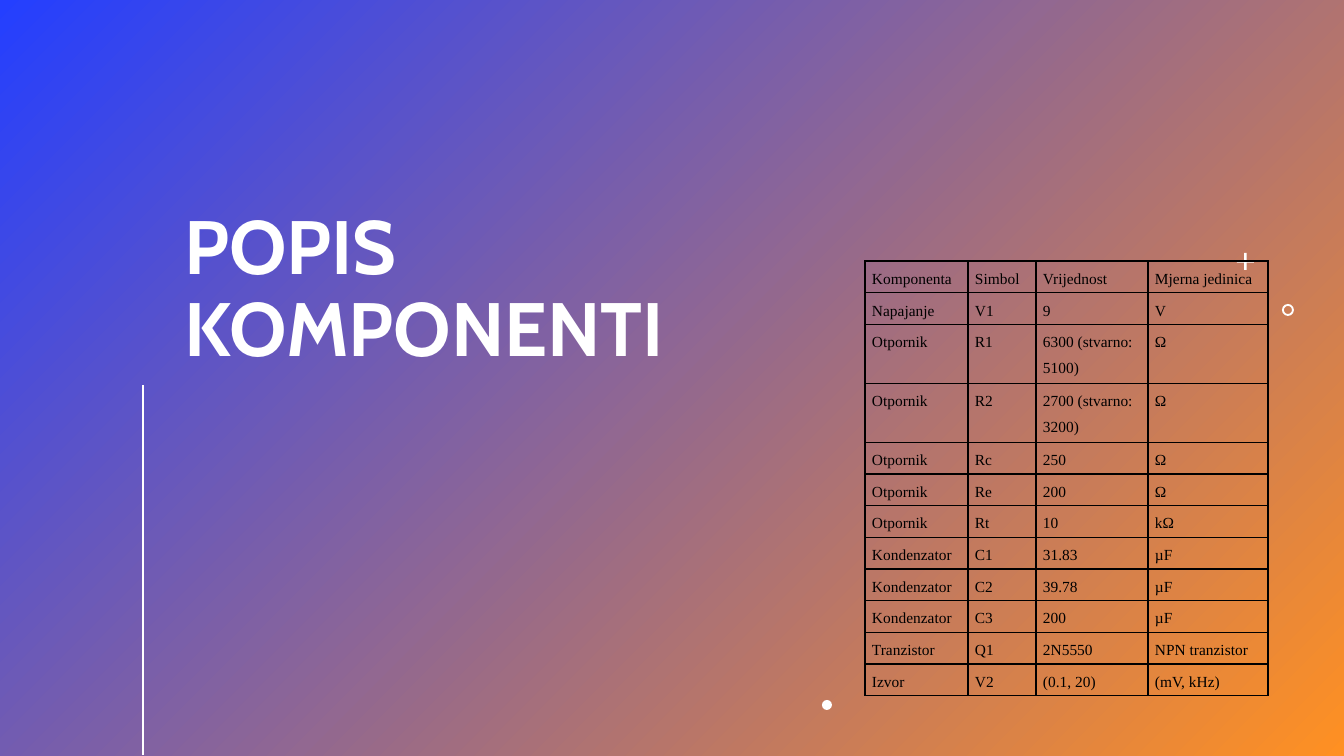
from lxml import etree
from pptx import Presentation, util as u
from pptx.dml.color import RGBColor
from pptx.enum import shapes, text
from pptx.oxml.ns import qn

# Content
TITLE = "POPIS KOMPONENTI"
COMPONENTS = [
    ("Komponenta", "Simbol", "Vrijednost", "Mjerna jedinica"),
    ("Napajanje", "V1", "9", "V"),
    ("Otpornik", "R1", "6300 (stvarno: 5100)", "Ω"),
    ("Otpornik", "R2", "2700 (stvarno: 3200)", "Ω"),
    ("Otpornik", "Rc", "250", "Ω"),
    ("Otpornik", "Re", "200", "Ω"),
    ("Otpornik", "Rt", "10", "kΩ"),
    ("Kondenzator", "C1", "31.83", "µF"),
    ("Kondenzator", "C2", "39.78", "µF"),
    ("Kondenzator", "C3", "200", "µF"),
    ("Tranzistor", "Q1", "2N5550", "NPN tranzistor"),
    ("Izvor", "V2", "(0.1, 20)", "(mV, kHz)"),
]

# Layout in px and format values
SLIDE_SIZE = 1344, 756
TITLE_BOX = 174, 66, 586, 312
TABLE_BOX = 865, 261, 403, 435
COLUMN_WIDTHS = 103, 68, 112, 120
TALL_ROWS, TALL_HEIGHT = (2, 3), 59
WHITE, BLACK = "FFFFFF", "000000"
GRADIENT = "243FFF", "FF9022"
ORNAMENTS = [  # preset, box, adjustment
    (shapes.MSO_SHAPE.CROSS, (1237, 253, 17, 17), 0.43),
    (shapes.MSO_SHAPE.DONUT, (1282, 304, 12, 12), 0.16),
    (shapes.MSO_SHAPE.OVAL, (822, 700, 10, 10), None),
]
TITLE_FONT = {"name": "Cabin", "size": u.Pt(54), "bold": True}
CELL_FONT = {"name": "Times New Roman", "size": u.Pt(11), "bold": False}


def px(length):
    return u.Emu(round(length * 914400 / 100.8))


def box(values):
    return [px(value) for value in values]


def color(value):
    return RGBColor.from_string(value)


def set_values(target, values):
    for name, value in values.items():
        setattr(target, name, value)


def set_font(paragraph, values, hex_color):
    set_values(paragraph.font, values)
    paragraph.font.color.rgb = color(hex_color)


def add_plain_shape(slide, preset, bounds):
    shape = slide.shapes.add_shape(preset, *box(bounds))
    shape.shadow.inherit = False
    shape.line.fill.background()
    return shape


def add_border(cell):
    properties = cell._tc.get_or_add_tcPr()
    for position, side in enumerate(("lnL", "lnR", "lnT", "lnB")):
        line = etree.Element(qn(f"a:{side}"), w=str(u.Pt(1)))
        fill = etree.SubElement(line, qn("a:solidFill"))
        etree.SubElement(fill, qn("a:srgbClr"), val=BLACK)
        properties.insert(position, line)


def add_background(slide):
    background = add_plain_shape(slide, shapes.MSO_SHAPE.RECTANGLE, (0, 0, *SLIDE_SIZE))
    background.fill.gradient()
    background.fill.gradient_angle = 315
    for stop, hex_color in zip(background.fill.gradient_stops, GRADIENT):
        stop.color.rgb = color(hex_color)


def add_title(slide):
    title = slide.shapes.title
    set_values(title, dict(zip(("left", "top", "width", "height"), box(TITLE_BOX))))
    frame = title.text_frame
    frame.text = TITLE
    set_values(frame, {"word_wrap": True, "auto_size": text.MSO_AUTO_SIZE.NONE,
                       "vertical_anchor": text.MSO_ANCHOR.BOTTOM})
    paragraph = frame.paragraphs[0]
    set_values(paragraph, {"alignment": text.PP_ALIGN.LEFT, "line_spacing": 0.9})
    set_font(paragraph, TITLE_FONT, WHITE)
    slide.shapes._spTree.append(title._element)  # bring in front of the background


def add_decoration(slide):
    line = slide.shapes.add_connector(shapes.MSO_CONNECTOR.STRAIGHT, *box((143, 385, 143, 755)))
    line.line.width = u.Pt(2)
    line.line.color.rgb = color(WHITE)
    etree.SubElement(line._element.spPr, qn("a:effectLst"))
    for preset, bounds, adjustment in ORNAMENTS:
        ornament = add_plain_shape(slide, preset, bounds)
        ornament.fill.solid()
        ornament.fill.fore_color.rgb = color(WHITE)
        if adjustment is not None:
            ornament.adjustments[0] = adjustment


def add_component_table(slide):
    row_count = len(COMPONENTS)
    table = slide.shapes.add_table(row_count, len(COLUMN_WIDTHS), *box(TABLE_BOX)).table
    set_values(table, {"first_row": False, "horz_banding": False})
    for column, width in zip(table.columns, COLUMN_WIDTHS):
        column.width = px(width)
    tall_count = len(TALL_ROWS)
    row_height = (TABLE_BOX[3] - tall_count * TALL_HEIGHT) / (row_count - tall_count)
    margins = {"margin_left": px(7), "margin_top": px(1), "margin_right": px(7), "margin_bottom": 0}
    for index, (row, values) in enumerate(zip(table.rows, COMPONENTS)):
        row.height = px(TALL_HEIGHT if index in TALL_ROWS else row_height)
        for cell, value in zip(row.cells, values):
            cell.text = value
            set_values(cell, margins)
            cell.fill.background()
            add_border(cell)
            paragraph = cell.text_frame.paragraphs[0]
            set_values(paragraph, {"line_spacing": 1.5, "space_after": u.Pt(8)})
            set_font(paragraph, CELL_FONT, BLACK)


def main():
    presentation = Presentation()
    presentation.slide_width, presentation.slide_height = box(SLIDE_SIZE)
    slide = presentation.slides.add_slide(presentation.slide_layouts[0])
    subtitle = slide.placeholders[1]._element
    subtitle.getparent().remove(subtitle)
    add_background(slide)
    add_title(slide)
    add_decoration(slide)
    add_component_table(slide)
    presentation.save("out.pptx")


if __name__ == "__main__":
    main()
